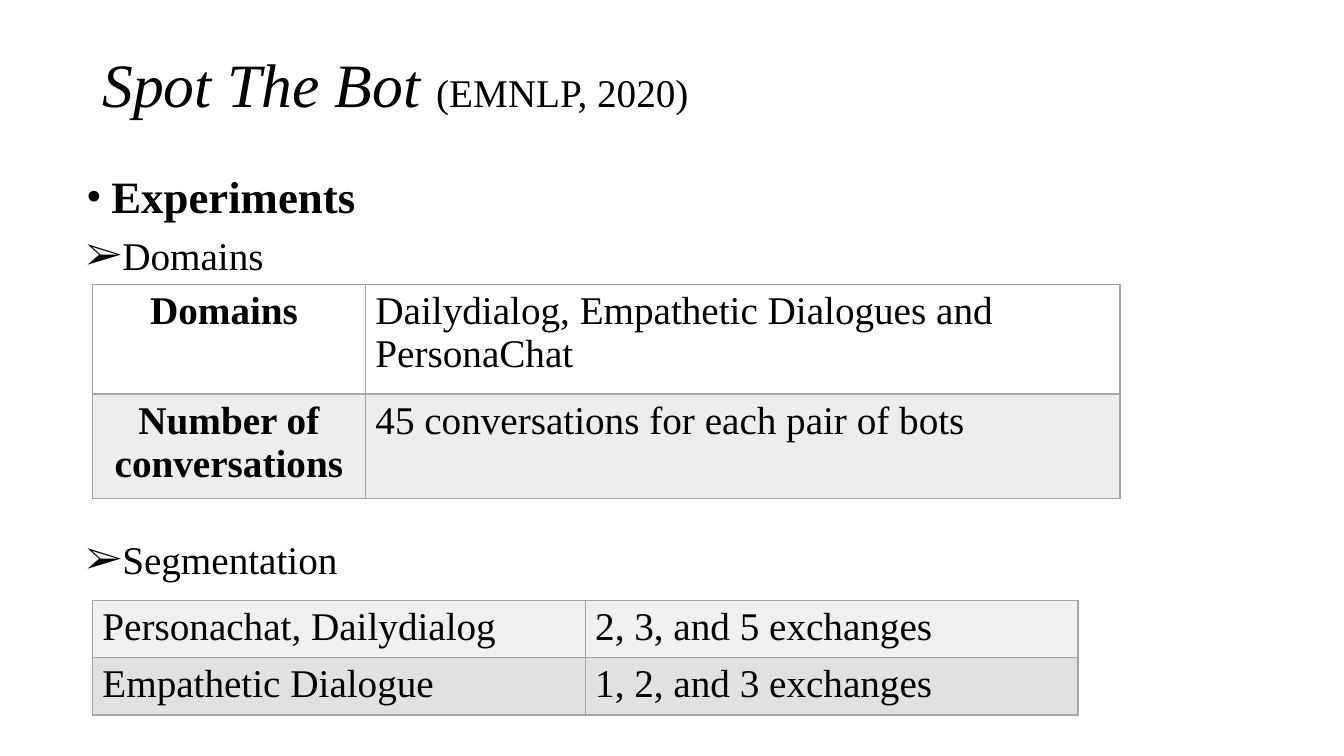
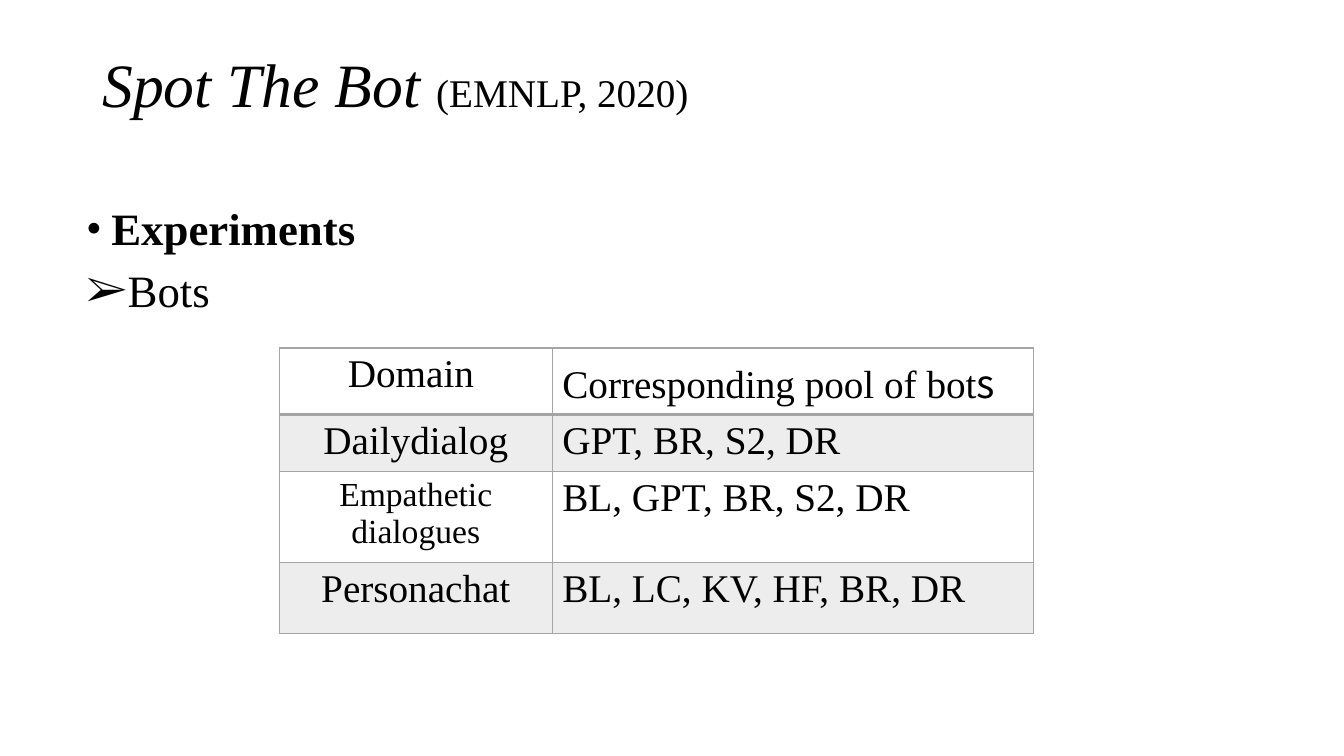
from dataclasses import dataclass

from lxml.etree import SubElement
from pptx import Presentation
from pptx.dml.color import RGBColor
from pptx.enum.text import MSO_ANCHOR as Anchor, PP_ALIGN as Align
from pptx.oxml.ns import qn
from pptx.util import Pt

FONT = "Times New Roman"
BLACK = "000000"
GRID = "A5A5A5"
BAND = "EDEDED"
LIGHT = "F0F0F0"
DARK = "E1E1E1"


@dataclass(frozen=True)
class Run:
    text: str
    size: float = 28
    bold: bool = False
    italic: bool = False
    font: str = FONT


@dataclass(frozen=True)
class Bullet:
    mark: str
    run: Run
    space_before: float = 10


@dataclass(frozen=True)
class Row:
    height: float
    cells: tuple[tuple[Run, ...], ...]
    fill: str | None = None


@dataclass(frozen=True)
class Grid:
    left: float
    top: float
    columns: tuple[float, ...]
    rows: tuple[Row, ...]
    center_first: bool = True
    thick_header: bool = True


def color(value: str) -> RGBColor:
    return RGBColor.from_string(value)


def style(font, run: Run) -> None:
    font.name = run.font
    font.size = Pt(run.size)
    font.bold = run.bold
    font.italic = run.italic
    font.color.rgb = color(BLACK)


def write(paragraph, runs: tuple[Run, ...]) -> None:
    for run in runs:
        part = paragraph.add_run()
        part.text = run.text
        if len(runs) > 1:
            style(part.font, run)
    if len(runs) == 1:
        style(paragraph.font, runs[0])


def add_text_frame(slide, left: float, top: float, width: float, height: float):
    frame = slide.shapes.add_textbox(Pt(left), Pt(top), Pt(width), Pt(height)).text_frame
    frame.word_wrap = True
    return frame


def add_title(slide) -> None:
    frame = add_text_frame(slide, 66, 25, 828, 104.5)
    frame.vertical_anchor = Anchor.MIDDLE
    frame.margin_bottom = Pt(32.5)
    paragraph = frame.paragraphs[0]
    paragraph.line_spacing = 0.9
    write(paragraph, (Run("Spot The Bot ", 44, italic=True), Run("(EMNLP, 2020)")))


def add_bullets(slide, top: float, height: float, bullets: tuple[Bullet, ...]) -> None:
    frame = add_text_frame(slide, 54.5, top, 828, height)
    for index, bullet in enumerate(bullets):
        paragraph = frame.add_paragraph() if index else frame.paragraphs[0]
        paragraph.line_spacing = 0.9
        if index:
            paragraph.space_before = Pt(bullet.space_before)
        properties = paragraph._p.get_or_add_pPr()
        properties.set("marL", str(Pt(18)))
        properties.set("indent", str(-Pt(18)))
        SubElement(properties, qn("a:buFont"), typeface=FONT)
        SubElement(properties, qn("a:buChar"), char=bullet.mark)
        write(paragraph, (bullet.run,))


def set_borders(cell, top: float, bottom: float) -> None:
    properties = cell._tc.get_or_add_tcPr()
    for side, width in (("L", 1), ("R", 1), ("T", top), ("B", bottom)):
        line = SubElement(properties, qn(f"a:ln{side}"), w=str(Pt(width)))
        solid = SubElement(line, qn("a:solidFill"))
        SubElement(solid, qn("a:srgbClr"), val=GRID)


def add_grid(slide, grid: Grid) -> None:
    table = slide.shapes.add_table(
        len(grid.rows), len(grid.columns), Pt(grid.left), Pt(grid.top),
        Pt(sum(grid.columns)), Pt(sum(row.height for row in grid.rows)),
    ).table
    table.first_row = False
    table.horz_banding = False
    for column, width in zip(table.columns, grid.columns):
        column.width = Pt(width)
    for row_index, row in enumerate(grid.rows):
        table.rows[row_index].height = Pt(row.height)
        top = 2 if grid.thick_header and row_index == 1 else 1
        bottom = 2 if grid.thick_header and row_index == 0 else 1
        for column_index, runs in enumerate(row.cells):
            cell = table.cell(row_index, column_index)
            set_borders(cell, top, bottom)
            if row.fill:
                cell.fill.solid()
                cell.fill.fore_color.rgb = color(row.fill)
            else:
                cell.fill.background()
            paragraph = cell.text_frame.paragraphs[0]
            centered = grid.center_first and column_index == 0
            paragraph.alignment = Align.CENTER if centered else Align.LEFT
            write(paragraph, runs)


def add_slide(presentation, top: float, height: float,
              bullets: tuple[Bullet, ...], grids: tuple[Grid, ...]) -> None:
    slide = presentation.slides.add_slide(presentation.slide_layouts[6])
    heading = Bullet("•", Run("Experiments", 32, bold=True))
    add_bullets(slide, top, height, (heading, *bullets))
    add_title(slide)
    for grid in grids:
        add_grid(slide, grid)


DOMAINS = Grid(66, 203, (195, 539), (
    Row(78.5, ((Run("Domains ", bold=True),),
               (Run("Dailydialog, Empathetic Dialogues and PersonaChat"),))),
    Row(69, ((Run("Number of conversations", bold=True),),
             (Run("45 conversations for each pair of bots"),)), BAND),
))

SEGMENTATION = Grid(66, 429, (352, 352), (
    Row(38.5, ((Run("Personachat, Dailydialog"),), (Run("2, 3, and 5 exchanges"),)), LIGHT),
    Row(38.5, ((Run("Empathetic Dialogue"),), (Run("1, 2, and 3 exchanges"),)), DARK),
), center_first=False, thick_header=False)

BOTS = Grid(199.5, 248.5, (195, 344), (
    Row(47.5, ((Run("Domain "),),
               (Run("Corresponding pool of bot"), Run("s", font="Noto Sans CJK SC")))),
    Row(38, ((Run("Dailydialog"),), (Run("GPT, BR, S2, DR"),)), BAND),
    Row(60.5, ((Run("Empathetic dialogues", 24),), (Run("BL, GPT, BR, S2, DR"),))),
    Row(51, ((Run("Personachat"),), (Run("BL, LC, KV, HF, BR, DR"),)), BAND),
))


def main() -> None:
    presentation = Presentation()
    presentation.slide_width = Pt(960)
    presentation.slide_height = Pt(540)
    add_slide(presentation, 121, 407, (
        Bullet("➢", Run("Domains")),
        Bullet("➢", Run("Segmentation"), 187),
    ), (DOMAINS, SEGMENTATION))
    add_slide(presentation, 144, 396, (Bullet("➢", Run("Bots", 32)),), (BOTS,))
    presentation.save("out.pptx")


if __name__ == "__main__":
    main()
